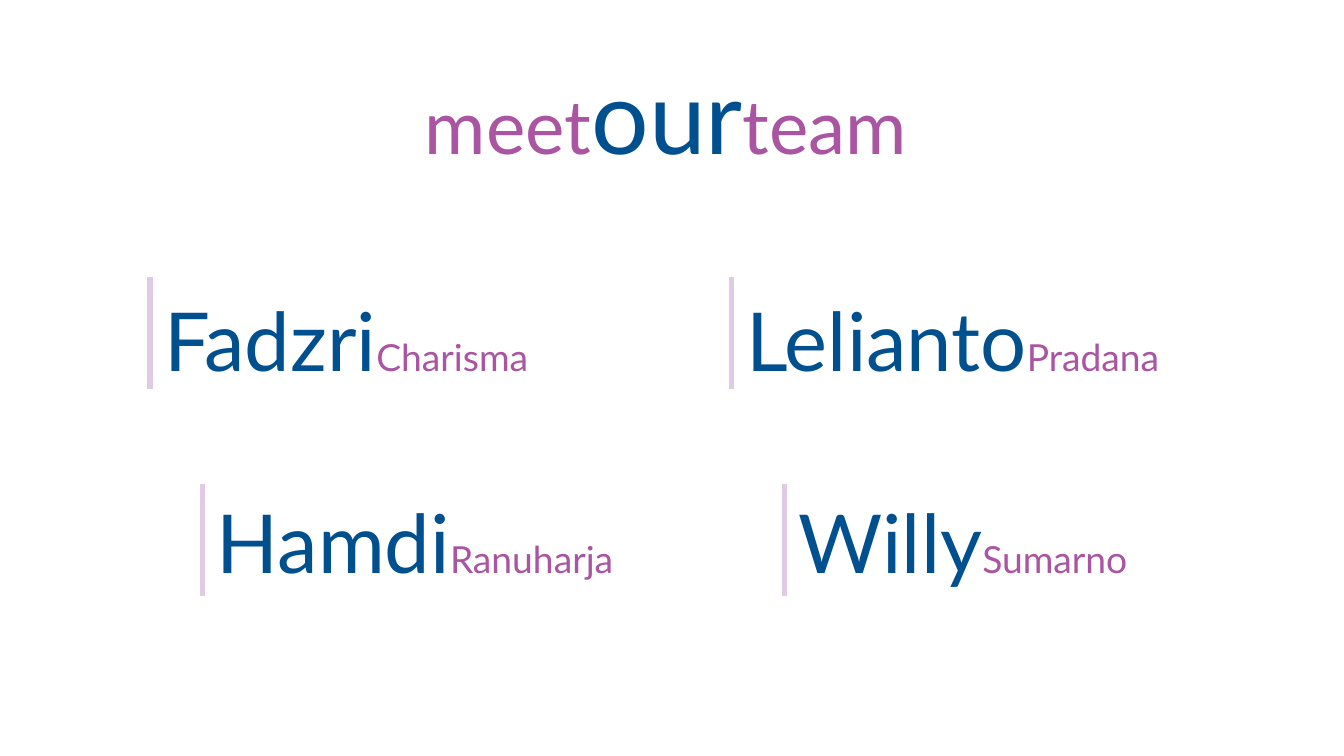
"""Build the team slide: a title and four names, each beside a vertical bar."""
import pptx
import pptx.dml.color
import pptx.enum.shapes
import pptx.enum.text
import pptx.oxml
import pptx.oxml.ns
import pptx.util

Inches, Pt = pptx.util.Inches, pptx.util.Pt
RGBColor = pptx.dml.color.RGBColor
PP_ALIGN, MSO_ANCHOR = pptx.enum.text.PP_ALIGN, pptx.enum.text.MSO_ANCHOR

PURPLE = RGBColor(0xAA, 0x55, 0xA1)
BLUE = RGBColor(0x00, 0x50, 0x8F)
LILAC = RGBColor(0xDF, 0xCC, 0xE4)

TITLE = [("meet", 44, PURPLE), ("our", 60, BLUE), ("team", 44, PURPLE)]
TEAM = [
    [("Fadzri", "Charisma"), ("Lelianto", "Pradana")],
    [("Hamdi", "Ranuharja"), ("Willy", "Sumarno")],
]
ROWS = [
    {"bar_left": 1.23, "bar_top": 2.27, "name_top": 2.33},
    {"bar_left": 1.66, "bar_top": 3.97, "name_top": 3.99},
]
COLUMN_STEP = 4.77
BAR_HEIGHT = 0.92
NAME_GAP, NAME_WIDTH, NAME_HEIGHT = 0.02, 4.9, 1.97


def add_text(s, box, runs, align, frame_format):
    sp = s.shapes.add_textbox(*map(Inches, box))
    tf = sp.text_frame
    for key, value in frame_format.items():
        setattr(tf, key, value)
    p = tf.paragraphs[0]
    p.alignment = align
    for text, size, color in runs:
        r = p.add_run()
        r.text = text
        for key, value in {"name": "Lato", "size": Pt(size)}.items():
            setattr(r.font, key, value)
        r.font.color.rgb = color


def add_bar(s, left, top):
    x = Inches(left)
    sp = s.shapes.add_connector(pptx.enum.shapes.MSO_CONNECTOR.STRAIGHT,
                                x, Inches(top), x, Inches(top + BAR_HEIGHT))
    sp.line.color.rgb = LILAC
    sp.line.width = Pt(3)
    sp._element.spPr.append(pptx.oxml.parse_xml(
        f"<a:effectLst {pptx.oxml.ns.nsdecls('a')}/>"))


def main():
    prs = pptx.Presentation()
    prs.slide_width, prs.slide_height = Inches(11.02), Inches(6.2)
    s = prs.slides.add_slide(prs.slide_layouts[6])
    margins = ("margin_left", "margin_top", "margin_right", "margin_bottom")
    add_text(s, (0.5, 0.36, 9.92, 1.14), TITLE, PP_ALIGN.CENTER,
             {"word_wrap": True, "vertical_anchor": MSO_ANCHOR.MIDDLE,
              **dict.fromkeys(margins, 0)})
    for row, members in zip(ROWS, TEAM):
        for column, (first, last) in enumerate(members):
            left = row["bar_left"] + column * COLUMN_STEP
            add_bar(s, left, row["bar_top"])
            add_text(s, (left + NAME_GAP, row["name_top"], NAME_WIDTH, NAME_HEIGHT),
                     [(first, 48, BLUE), (last, 22, PURPLE)], PP_ALIGN.LEFT,
                     {"word_wrap": True, "vertical_anchor": MSO_ANCHOR.TOP})
    prs.save("out.pptx")


if __name__ == "__main__":
    main()
